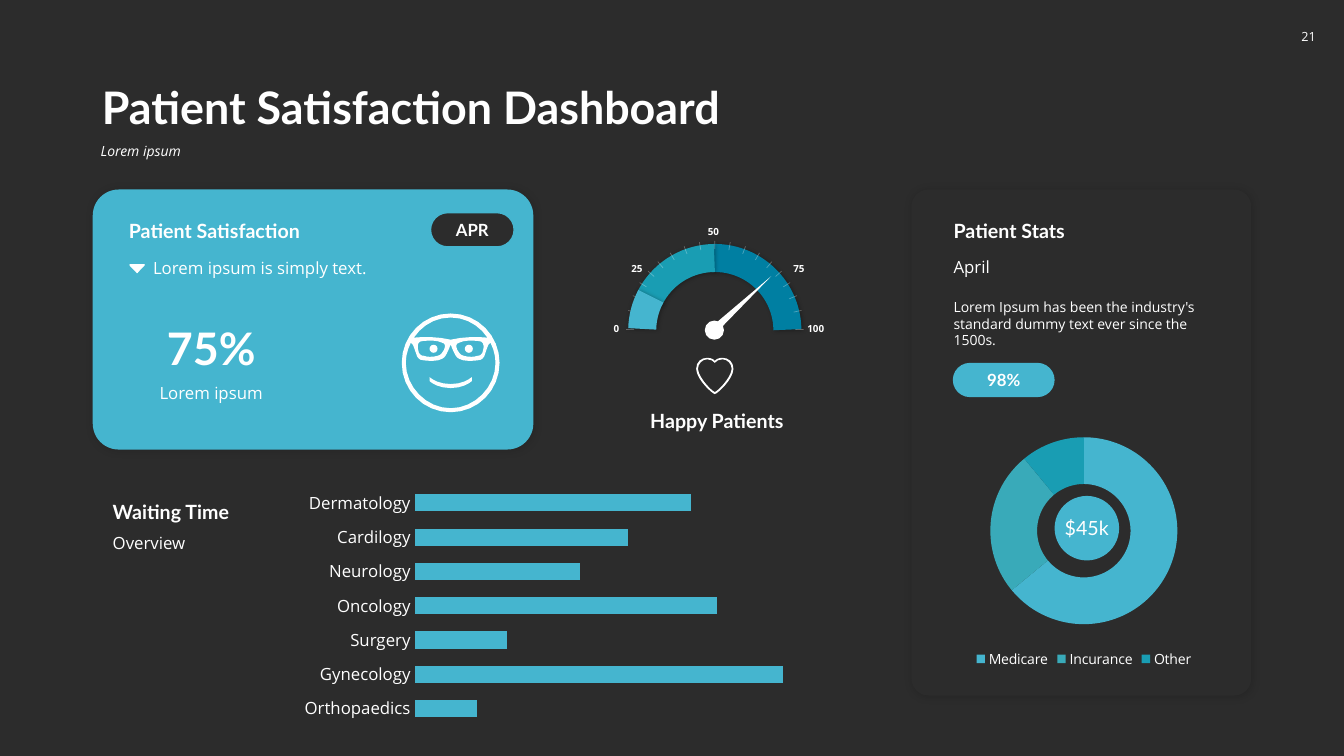
import math

from lxml import etree
from pptx import Presentation
from pptx import util as u
from pptx.chart.data import CategoryChartData
from pptx.dml.color import RGBColor
from pptx.enum import chart as charts, shapes, text
from pptx.oxml.ns import qn

COLORS = {"back": "2C2C2C", "white": "FFFFFF", "black": "000000", "sky": "45B5CF",
          "sea": "39AAB9", "teal": "199DB3", "blue": "007FA2"}
STYLES = {
    "title": {"name": "Lato", "size": u.Pt(32), "bold": True},
    "heading": {"name": "Lato", "size": u.Pt(14), "bold": True},
    "badge": {"name": "Lato", "size": u.Pt(12), "bold": True},
    "amount": {"name": "Lato", "size": u.Pt(14)},
    "body": {"name": "Open Sans", "size": u.Pt(12)},
    "small": {"name": "Open Sans", "size": u.Pt(10)},
    "subtitle": {"name": "Open Sans", "size": u.Pt(10), "italic": True},
    "number": {"name": "Open Sans", "size": u.Pt(9)},
    "scale": {"name": "Open Sans", "size": u.Pt(7), "bold": True},
}
SIDES = ("left", "top", "right", "bottom")
TOP, MIDDLE, BOTTOM = (text.MSO_ANCHOR.TOP, text.MSO_ANCHOR.MIDDLE, text.MSO_ANCHOR.BOTTOM)
LEFT, CENTER, RIGHT = text.PP_ALIGN.LEFT, text.PP_ALIGN.CENTER, text.PP_ALIGN.RIGHT
TICK_ANGLES = (0, 12.5, 22.5, 32, 41.2, 50, 59.8, 69.8, 80)  # left of the top mark

# Right halves of symmetric outlines, in 1/100 inch: a start, then Bezier triples
CARET = [(0, 0), [(7, 0), (7, 0), (7, 0)], [(8, 0), (8, 1), (7, 2)],
         [(1, 8), (1, 8), (1, 8)], [(1, 9), (0, 9), (0, 9)]]
HEART = [
    [(0, -15), [(1.5, -17), (4.5, -18), (7.5, -18)], [(13.5, -18), (18.5, -14), (18.5, -7)],
     [(18, 4), (2, 18), (0, 18)]],
    [(0, -13), [(1.5, -15), (4.5, -16.5), (7.5, -16.5)],
     [(12.5, -16.5), (16.7, -12), (16.7, -7)], [(16, 2), (3, 15), (0, 16)]],
]
SMILE = [(0, 25), [(14, 25), (21, 18), (21, 18)], [(21, 14), (21, 14), (21, 14)],
         [(21, 14), (14, 21), (0, 21)]]
HEAD = [(0, -49), [(27, -49), (48.5, -27), (48.5, 0)], [(48.5, 27), (27, 49), (0, 49)]]
FOREHEAD = [(0, -45), [(15.5, -45), (28.5, -37), (36.5, -25)],
            [(27.5, -26), (12.5, -26), (0, -23)]]
CHEEKS = [(0, 45), [(24, 45), (44.5, 24), (44.5, 0)], [(44.5, -7), (42.5, -14), (39.5, -20)],
          [(37.5, -18), (37.5, -18), (37.5, -18)], [(37.5, -18), (36.5, -16), (34.5, -10)],
          [(33.5, -4), (29.5, -3), (29.5, -3)], [(29.5, -3), (24.5, -2), (20.5, -2)],
          [(15.5, -2), (12.5, -2), (8.5, -4)], [(5.5, -5), (3.5, -10), (3.5, -10)],
          [(3.5, -10), (1.5, -14), (0.5, -17)], [(0, -18), (0, -18), (0, -18)]]
LENS = [(32.5, -14), [(32.5, -13), (31.5, -11), (31.5, -10)],
        [(29.5, -7), (28.5, -7), (26.5, -7)], [(24.5, -6), (22.5, -6), (20.5, -6)],
        [(15.5, -6), (12.5, -7), (10.5, -8)], [(8.5, -9), (7.5, -12), (6.5, -13)],
        [(6.5, -14), (3.5, -19), (8.5, -20)], [(12.5, -22), (17.5, -22), (19.5, -22)],
        [(21.5, -22), (28.5, -22), (30.5, -21)], [(33.5, -19), (32.5, -15), (32.5, -14)]]


def color(name):
    return RGBColor.from_string(COLORS[name])


def place(box, dx, dy, width, height):
    """Turn a position inside a box into slide lengths."""
    return [u.Inches(value) for value in (box[0] + dx, box[1] + dy, width, height)]


def style_font(font, style):
    for key, value in STYLES[style].items():
        setattr(font, key, value)
    font.color.rgb = color("white")


def write(shape, words, style, align=LEFT, anchor=TOP, insets=(0.1, 0.05, 0.1, 0.05), wrap=True):
    frame = shape.text_frame
    frame.auto_size = text.MSO_AUTO_SIZE.NONE
    frame.word_wrap, frame.vertical_anchor = wrap, anchor
    for side, inset in zip(SIDES, insets):
        setattr(frame, "margin_" + side, u.Inches(inset))
    para = frame.paragraphs[0]
    para.alignment = align
    span = para.add_run()
    span.text = words
    style_font(span.font, style)
    return para


def add_label(parent, spot, words, style, **layout):
    return write(parent.shapes.add_textbox(*spot), words, style, **layout)


def add_shadow(shape, alpha, blur, distance):
    shadow = etree.SubElement(shape._element.spPr.find(qn("a:effectLst")), qn("a:outerShdw"),
                              blurRad=str(u.Pt(blur)), dist=str(u.Pt(distance)),
                              dir=str(45 * 60000), algn="tl", rotWithShape="0")
    tint = etree.SubElement(shadow, qn("a:srgbClr"), val=COLORS["black"])
    etree.SubElement(tint, qn("a:alpha"), val=str(alpha * 1000))


def paint(shape, fill):
    shape.shadow.inherit = False
    shape.fill.solid()
    shape.fill.fore_color.rgb = color(fill)
    shape.line.fill.background()


def add_solid(parent, kind, spot, fill, corner=None, shadow=None):
    shape = parent.shapes.add_shape(kind, *spot)
    paint(shape, fill)
    if corner is not None:
        shape.adjustments[0] = corner
    if shadow:
        add_shadow(shape, *shadow)
    return shape


def trace(outline, tolerance=0.3):
    """Points along Bezier curves, no denser than the tolerance needs."""
    points = [outline[0]]
    for first, second, end in outline[1:]:
        knots = (points[-1], first, second, end)
        bend = max(math.dist((a[0] + c[0], a[1] + c[1]), (2 * b[0], 2 * b[1]))
                   for a, b, c in (knots[:3], knots[1:]))
        steps = 1 if first == end else max(1, math.ceil(math.sqrt(0.75 * bend / tolerance)))
        for step in range(1, steps + 1):
            t = step / steps
            weights = ((1 - t) ** 3, 3 * t * (1 - t) ** 2, 3 * t * t * (1 - t), t ** 3)
            points.append(tuple(sum(w * k[axis] for w, k in zip(weights, knots))
                                for axis in (0, 1)))
    return points


def mirror(points):
    return [(-x, y) for x, y in reversed(points)]


def whole(outline):
    half = trace(outline)
    return half + mirror(half)[1:-1]


def add_outline(parent, center, contours):
    """One white freeform; inner contours become holes."""
    loops = [[(u.Inches(center[0] + x / 100), u.Inches(center[1] + y / 100)) for x, y in loop]
             for loop in contours]
    builder = parent.shapes.build_freeform(*loops[0][0], scale=1.0)
    for index, loop in enumerate(loops):
        if index:
            builder.move_to(*loop[0])
        builder.add_line_segments(loop[1:], close=True)
    paint(builder.convert_to_shape(), "white")


def header(page, box):
    title = page.shapes.title
    title.left, title.top, title.width, title.height = place(box, 0.01, 0, 11.5, 0.8)
    write(title, "Patient Satisfaction Dashboard", "title", anchor=BOTTOM).line_spacing = 0.9
    add_label(page, place(box, 0, 0.8, 11.52, 0.36), "Lorem ipsum", "subtitle").line_spacing = 0.9
    number = add_solid(page, shapes.MSO_SHAPE.ROUNDED_RECTANGLE,
                       place(box, 11.9, -0.39, 0.36, 0.35), "back", 0.27)
    write(number, "21", "number", CENTER, MIDDLE, (0, 0.05, 0, 0.05), False)


def face(page, center):
    group = page.shapes.add_group_shape()
    lens = trace(LENS)
    add_outline(group, center, [whole(SMILE)])
    add_outline(group, center, [whole(HEAD), whole(FOREHEAD), lens, mirror(lens), whole(CHEEKS)])
    for dx in (-0.21, 0.14):
        add_solid(group, shapes.MSO_SHAPE.OVAL, place(center, dx, -0.18, 0.08, 0.08), "white")


def badge(page, spot, words, fill):
    shape = add_solid(page, shapes.MSO_SHAPE.ROUNDED_RECTANGLE, spot, fill, 0.5)
    write(shape, words, "badge", CENTER, MIDDLE, (0, 0, 0, 0))
    return shape


def satisfaction_card(page, box):
    add_solid(page, shapes.MSO_SHAPE.ROUNDED_RECTANGLE, place(box, 0, 0, *box[2:]),
              "sky", 0.1, (15, 6, 1))
    add_label(page, place(box, 0.36, 1.24, 1.63, 0.64), "75%", "title",
              align=CENTER, anchor=BOTTOM)
    add_label(page, place(box, 0.36, 1.87, 1.63, 0.3), "Lorem ipsum", "body", align=CENTER)
    month = badge(page, place(box, 3.35, 0.23, 0.83, 0.34), "APR", "back")
    month.line.color.rgb, month.line.width = color("sky"), u.Pt(1)
    add_label(page, place(box, 0.26, 0.23, 2.51, 0.34), "Patient Satisfaction", "heading",
              anchor=BOTTOM)
    add_label(page, place(box, 0.5, 0.63, 3.67, 0.3), "Lorem ipsum is simply text.", "body")
    add_outline(page, (box[0] + 0.44, box[1] + 0.74), [whole(CARET)])
    face(page, (box[0] + 3.55, box[1] + 1.72))


def gauge_arc(group, spot, start, end, shade):
    arc = group.shapes.add_shape(shapes.MSO_SHAPE.ARC, *spot)
    arc.shadow.inherit = False
    for index, angle in enumerate((start, end)):
        arc.adjustments[index] = angle * 0.6  # 60000ths of a degree over 100000
    arc.fill.background()
    arc.line.color.rgb, arc.line.width = color(shade), u.Pt(20)
    add_shadow(arc, 30, 3, 1)


def gauge_tick(group, pivot, angle):
    ends = [u.Inches(value) for radius in (0.88, 0.8) for value in
            (pivot[0] - radius * math.cos(angle), pivot[1] - 0.01 - radius * math.sin(angle))]
    tick = group.shapes.add_connector(shapes.MSO_CONNECTOR.STRAIGHT, *ends)
    tick.line.color.rgb, tick.line.width = color("white"), u.Pt(0.5)
    properties = tick._element.spPr
    etree.SubElement(next(properties.iter(qn("a:srgbClr"))), qn("a:alpha"), val="30000")
    etree.SubElement(properties, qn("a:effectLst"))


def happy_gauge(page, box):
    group = page.shapes.add_group_shape()
    pivot = (box[0] + box[2] / 2 - 0.02, box[1] + 1.1)
    dial = place(pivot, -0.72, -0.72, 1.44, 1.44)
    for start, end, shade in ((267.6, 359.3, "blue"), (206.49, 269.61, "teal")):
        gauge_arc(group, dial, start, end, shade)
    add_solid(group, shapes.MSO_SHAPE.OVAL, place(pivot, -0.1, -0.1, 0.19, 0.19), "white")
    for degrees in (*TICK_ANGLES, 90, *(180 - angle for angle in TICK_ANGLES)):
        gauge_tick(group, pivot, math.radians(degrees))
    for words, dx, dy, width, align, anchor in (
            ("0", -1.11, -0.13, 0.26, RIGHT, MIDDLE), ("25", -0.93, -0.73, 0.31, RIGHT, MIDDLE),
            ("50", -0.17, -1.1, 0.31, CENTER, BOTTOM), ("75", 0.68, -0.73, 0.31, LEFT, MIDDLE),
            ("100", 0.82, -0.13, 0.45, LEFT, MIDDLE)):
        add_label(group, place(pivot, dx, dy, width, 0.22), words, "scale",
                  align=align, anchor=anchor, wrap=words == "100")
    gauge_arc(group, dial, 181.33, 208.21, "sky")
    add_label(page, place(box, 0, 1.82, box[2], 0.34), "Happy Patients", "heading",
              align=CENTER, anchor=MIDDLE, insets=(0.04, 0.05, 0.04, 0.05))
    needle = add_solid(page, shapes.MSO_SHAPE.ISOSCELES_TRIANGLE,
                       place(pivot, 0.22, -0.67, 0.08, 0.82), "white")
    needle.rotation = 47
    add_outline(page, (pivot[0], pivot[1] + 0.45), [whole(half) for half in HEART])


def add_plot(page, spot, kind, values, style):
    data = CategoryChartData()
    data.categories = list(values)
    data.add_series("Series 1", list(values.values()))
    chart = page.shapes.add_chart(kind, *spot, data).chart
    chart.has_title = chart.has_legend = False
    style_font(chart.font, style)
    chart.plots[0].vary_by_categories = kind == charts.XL_CHART_TYPE.DOUGHNUT
    return chart


def waiting_time(page, box):
    add_label(page, place(box, 0, 0.13, 2.86, 0.34), "Waiting Time", "heading", anchor=BOTTOM)
    add_label(page, place(box, 0, 0.47, 2.86, 0.3), "Overview", "body")
    waits = {"Dermatology": 75, "Cardilogy": 58, "Neurology": 45, "Oncology": 82,
             "Surgery": 25, "Gynecology": 100, "Orthopaedics": 17}
    chart = add_plot(page, place(box, 1.89, 0, 5.59, box[3]),
                     charts.XL_CHART_TYPE.BAR_CLUSTERED, waits, "body")
    names, scale = chart.category_axis, chart.value_axis
    names.reverse_order = True
    names.major_tick_mark = charts.XL_TICK_MARK.NONE
    names.format.line.fill.background()
    style_font(names.tick_labels.font, "body")
    scale.visible = scale.has_major_gridlines = False
    scale.minimum_scale, scale.maximum_scale = 0, 117
    chart.plots[0].gap_width = 100
    bars = chart.plots[0].series[0].format.fill
    bars.solid()
    bars.fore_color.rgb = color("sky")


def patient_stats(page, box):
    add_solid(page, shapes.MSO_SHAPE.ROUNDED_RECTANGLE, place(box, 0, 0, *box[2:]),
              "back", 0.05, (15, 6, 1))
    for words, style, dy, height, anchor in (
            ("Patient Stats", "heading", 0.23, 0.34, BOTTOM), ("April", "body", 0.62, 0.3, TOP),
            ("Lorem Ipsum has been the industry's standard dummy text ever since the 1500s.",
             "small", 1.03, 0.44, TOP)):
        add_label(page, place(box, 0.32, dy, 2.96, height), words, style, anchor=anchor)
    badge(page, place(box, 0.41, 1.72, 1.01, 0.34), "98%", "sky")
    chart = add_plot(page, place(box, 0.14, 2.32, 3.14, 2.47), charts.XL_CHART_TYPE.DOUGHNUT,
                     {"Medicare": 64, "Incurance": 25, "Other": 11}, "small")
    chart.has_legend = True
    chart.legend.position = charts.XL_LEGEND_POSITION.BOTTOM
    chart.legend.include_in_layout = False
    style_font(chart.legend.font, "small")
    ring = chart.plots[0]
    ring.has_data_labels = False
    ring._element.find(qn("c:holeSize")).set("val", "75")
    for index, shade in enumerate(("sky", "sea", "teal")):
        fill = ring.series[0].points[index].format.fill
        fill.solid()
        fill.fore_color.rgb = color(shade)
    total = add_solid(page, shapes.MSO_SHAPE.OVAL, place(box, 1.42, 3.04, 0.64, 0.64), "sky")
    write(total, "$45k", "amount", CENTER, MIDDLE, (0, 0.05, 0, 0.05), False)


def main():
    deck = Presentation()
    deck.slide_width, deck.slide_height = u.Inches(13.33), u.Inches(7.5)
    page = deck.slides.add_slide(deck.slide_layouts[5])
    page.background.fill.solid()
    page.background.fill.fore_color.rgb = color("back")
    header(page, (0.9, 0.58, 11.52, 1.16))
    satisfaction_card(page, (0.92, 1.88, 4.37, 2.58))
    happy_gauge(page, (5.79, 2.18, 2.64, 2.16))
    waiting_time(page, (1.02, 4.77, 7.48, 2.48))
    patient_stats(page, (9.04, 1.88, 3.37, 5.02))
    deck.save("out.pptx")


if __name__ == "__main__":
    main()
